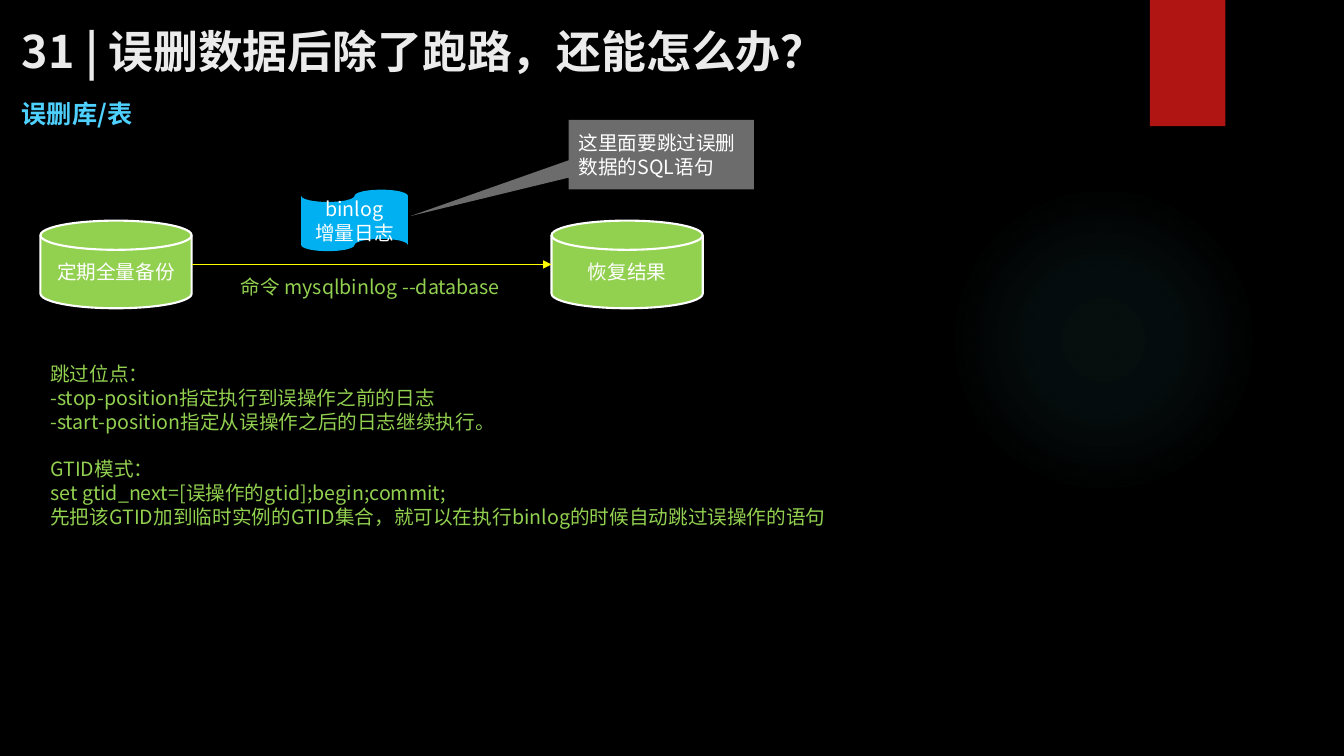
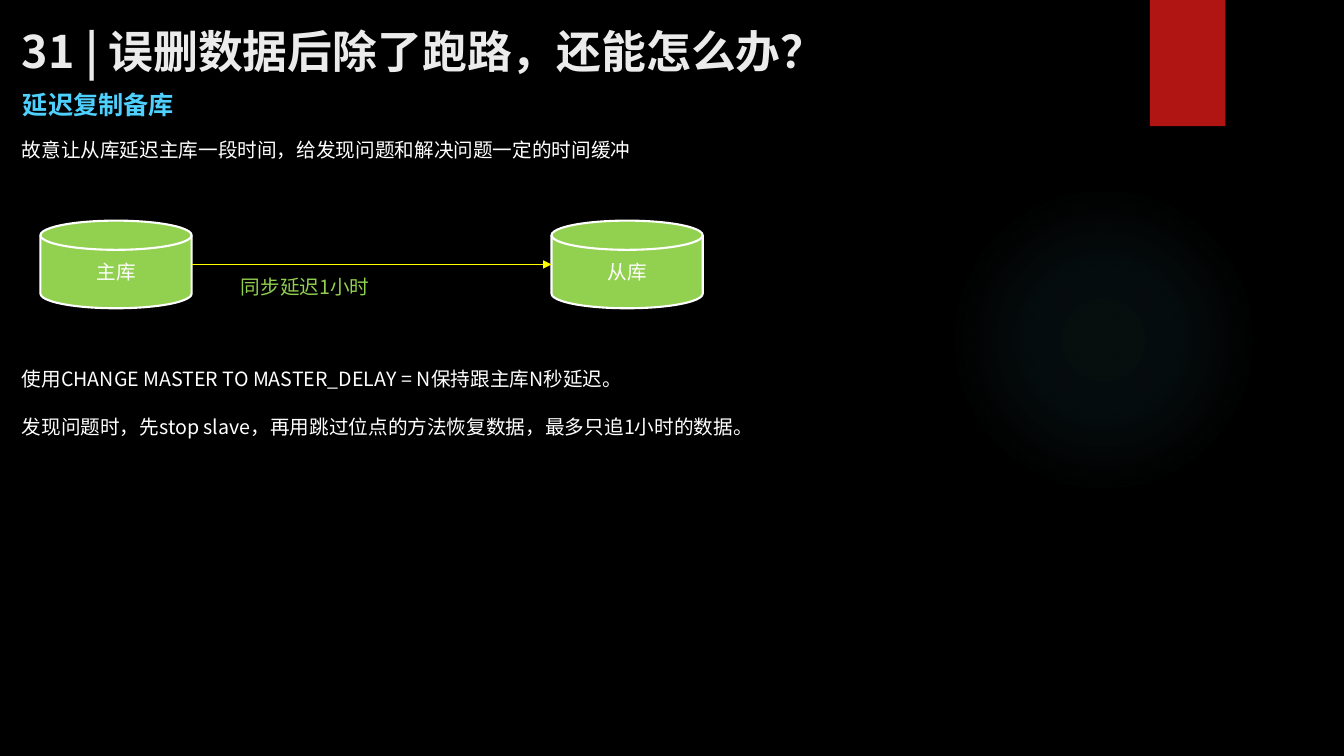
from pptx import Presentation
from pptx.dml.color import RGBColor
from pptx.enum.shapes import MSO_CONNECTOR, MSO_SHAPE
from pptx.enum.text import MSO_ANCHOR, MSO_AUTO_SIZE, PP_ALIGN
from pptx.oxml import parse_xml
from pptx.oxml.ns import nsdecls, qn
from pptx.util import Cm, Pt
from lxml import etree

FONT = "Noto Sans CJK SC"
TITLE = "31 | 误删数据后除了跑路，还能怎么办？"

BLACK = RGBColor(0x00, 0x00, 0x00)
WHITE = RGBColor(0xFF, 0xFF, 0xFF)
TITLE_GREY = RGBColor(0xEB, 0xEB, 0xEB)
CALLOUT_GREY = RGBColor(0xD9, 0xD9, 0xD9)
RED = RGBColor(0xB0, 0x15, 0x13)
TEAL = RGBColor(0x50, 0xB9, 0xC1)
SKY = RGBColor(0x4F, 0xD1, 0xFF)
BLUE = RGBColor(0x00, 0xB0, 0xF0)
GREEN = RGBColor(0x92, 0xD0, 0x50)
YELLOW = RGBColor(0xFF, 0xFF, 0x00)

BODY_SIZE, HEADING_SIZE, TITLE_SIZE = 14, 18, 32
LINE_RATIO = 1.22
LINE_HEIGHT = 0.6
MARGIN = 0.25
FLOW_BOX = (1.02, 5.56, 16.69, 2.21)
DISK_WIDTH = 3.81


def set_text(shape, lines, color, size=BODY_SIZE, bold=False, align=PP_ALIGN.LEFT, gaps=()):
    """Write one paragraph per line; gaps holds the lines that follow a one-line gap."""
    frame = shape.text_frame
    frame.text = "\n".join(lines)
    pitch = Pt(round(size * LINE_RATIO))
    for index, para in enumerate(frame.paragraphs):
        para.alignment = align
        para.line_spacing = pitch
        para.space_before = pitch if index in gaps else Pt(0)
        for span in para.runs:
            font = span.font
            font.name, font.size, font.bold = FONT, Pt(size), bold
            font.color.rgb = color
            east_asian = etree.SubElement(font._element, qn("a:ea"))
            east_asian.set("typeface", FONT)


def add_text(page, left, top, width, lines, color, wrap=True, **style):
    size = style.get("size", BODY_SIZE)
    rows = len(lines) + len(style.get("gaps", ()))
    height = rows * LINE_HEIGHT * size / BODY_SIZE + 2 * MARGIN
    box = page.shapes.add_textbox(Cm(left), Cm(top), Cm(width), Cm(height))
    box.text_frame.word_wrap = wrap
    box.text_frame.auto_size = MSO_AUTO_SIZE.SHAPE_TO_FIT_TEXT
    set_text(box, lines, color, **style)


def add_heading(page, left, top, width, text):
    add_text(page, left, top, width, [text], SKY, wrap=False, size=HEADING_SIZE, bold=True)


def add_filled(page, kind, left, top, width, height, color):
    shape = page.shapes.add_shape(kind, Cm(left), Cm(top), Cm(width), Cm(height))
    shape.shadow.inherit = False
    shape.fill.solid()
    shape.fill.fore_color.rgb = color
    shape.line.fill.background()
    shape.text_frame.word_wrap = True
    shape.text_frame.vertical_anchor = MSO_ANCHOR.MIDDLE
    return shape


def add_disk(page, left, top, width, height, label):
    disk = add_filled(page, MSO_SHAPE.FLOWCHART_MAGNETIC_DISK, left, top, width, height, GREEN)
    disk.line.color.rgb = WHITE
    disk.line.width = Pt(1.5)
    set_text(disk, [label], WHITE, align=PP_ALIGN.CENTER)


def add_arrow(page, start, end, level):
    arrow = page.shapes.add_connector(
        MSO_CONNECTOR.STRAIGHT, Cm(start), Cm(level), Cm(end), Cm(level))
    arrow.line.color.rgb = YELLOW
    arrow.line.width = Pt(0.75)
    head = etree.SubElement(arrow.line._get_or_add_ln(), qn("a:tailEnd"))
    head.set("type", "triangle")
    etree.SubElement(arrow._element.spPr, qn("a:effectLst"))


def add_flow(page, box, source, target, label):
    """Two disks at the ends of the box, joined by a labelled arrow."""
    left, top, width, height = box
    right_disk = left + width - DISK_WIDTH
    add_disk(page, left, top, DISK_WIDTH, height, source)
    add_disk(page, right_disk, top, DISK_WIDTH, height, target)
    middle = top + height / 2
    add_arrow(page, left + DISK_WIDTH, right_disk, middle)
    add_text(page, left + 4.8, middle + 0.12, 7.65, [label], GREEN)


def add_log_tape(page, box):
    """The log above the arrow of the flow box, with its callout."""
    left, top = box[:2]
    tape = add_filled(page, MSO_SHAPE.FLOWCHART_PUNCHED_TAPE,
                      left + 6.57, top - 0.78, 2.69, 1.55, BLUE)
    set_text(tape, ["binlog", "增量日志"], WHITE, align=PP_ALIGN.CENTER)
    callout = add_filled(page, MSO_SHAPE.RECTANGULAR_CALLOUT,
                         left + 13.31, top - 2.54, 4.67, 1.75, CALLOUT_GREY)
    callout.adjustments[0] = -1.355
    callout.adjustments[1] = 0.887
    tint = callout._element.spPr.find(".//" + qn("a:srgbClr"))
    etree.SubElement(tint, qn("a:alpha")).set("val", "50000")
    set_text(callout, ["这里面要跳过误删数据的SQL语句"], WHITE)


def set_glow(shape, stops):
    """Fill with a radial gradient; stops are (position, opacity) in percent."""
    marks = "".join(
        f'<a:gs pos="{position * 1000}"><a:srgbClr val="{TEAL}">'
        f'<a:alpha val="{opacity * 1000}"/></a:srgbClr></a:gs>'
        for position, opacity in stops)
    gradient = parse_xml(
        f'<a:gradFill {nsdecls("a")}><a:gsLst>{marks}</a:gsLst><a:path path="circle">'
        '<a:fillToRect l="50000" t="50000" r="50000" b="50000"/></a:path></a:gradFill>')
    properties = shape._element.spPr
    properties.replace(properties.find(qn("a:solidFill")), gradient)


def decorate_layout(layout, page):
    """Draw the glow and the red band on the page, then move them to the layout."""
    glow = add_filled(page, MSO_SHAPE.OVAL, 23.9, 4.65, 7.82, 7.82, TEAL)
    set_glow(glow, [(0, 7), (36, 6), (69, 0)])
    band = add_filled(page, MSO_SHAPE.RECTANGLE, 28.98, 0, 1.9, 3.18, RED)
    tree = layout.shapes.element
    for offset, shape in enumerate((glow, band)):
        shape._element.nvSpPr.cNvPr.set("id", str(100 + offset))
        tree.insert(2 + offset, shape._element)


def add_page(deck, layout):
    page = deck.slides.add_slide(layout)
    title = page.shapes.title
    title.left, title.top, title.width, title.height = Cm(0.3), Cm(0.43), Cm(30.96), Cm(1.68)
    title.text_frame.vertical_anchor = MSO_ANCHOR.MIDDLE
    title.text_frame.auto_size = MSO_AUTO_SIZE.NONE
    set_text(title, [TITLE], TITLE_GREY, size=TITLE_SIZE, bold=True)
    return page


def fill_restore_page(page):
    add_heading(page, 0.3, 2.34, 3.38, "误删库/表")
    add_flow(page, FLOW_BOX, "定期全量备份", "恢复结果", "命令 mysqlbinlog --database")
    add_log_tape(page, FLOW_BOX)
    add_text(page, 1.02, 8.99, 21.2, [
        "跳过位点：",
        "-stop-position指定执行到误操作之前的日志",
        "-start-position指定从误操作之后的日志继续执行。",
        "GTID模式：",
        "set gtid_next=[误操作的gtid];begin;commit;",
        "先把该GTID加到临时实例的GTID集合，就可以在执行binlog的时候自动跳过误操作的语句",
    ], GREEN, gaps=(3,))


def fill_delay_page(page):
    add_heading(page, 0.33, 2.11, 4.37, "延迟复制备库")
    add_text(page, 0.3, 3.35, 22.05,
             ["故意让从库延迟主库一段时间，给发现问题和解决问题一定的时间缓冲"], WHITE)
    add_flow(page, FLOW_BOX, "主库", "从库", "同步延迟1小时")
    add_text(page, 0.3, 9.12, 22.05, [
        "使用CHANGE MASTER TO MASTER_DELAY = N保持跟主库N秒延迟。",
        "发现问题时，先stop slave，再用跳过位点的方法恢复数据，最多只追1小时的数据。",
    ], WHITE, gaps=(1,))


def main():
    deck = Presentation()
    deck.slide_width, deck.slide_height = Cm(33.87), Cm(19.05)
    backdrop = deck.slide_master.background.fill
    backdrop.solid()
    backdrop.fore_color.rgb = BLACK
    layout = deck.slide_layouts.get_by_name("Title Only")
    restore_page = add_page(deck, layout)
    decorate_layout(layout, restore_page)
    fill_restore_page(restore_page)
    fill_delay_page(add_page(deck, layout))
    deck.save("out.pptx")


if __name__ == "__main__":
    main()
